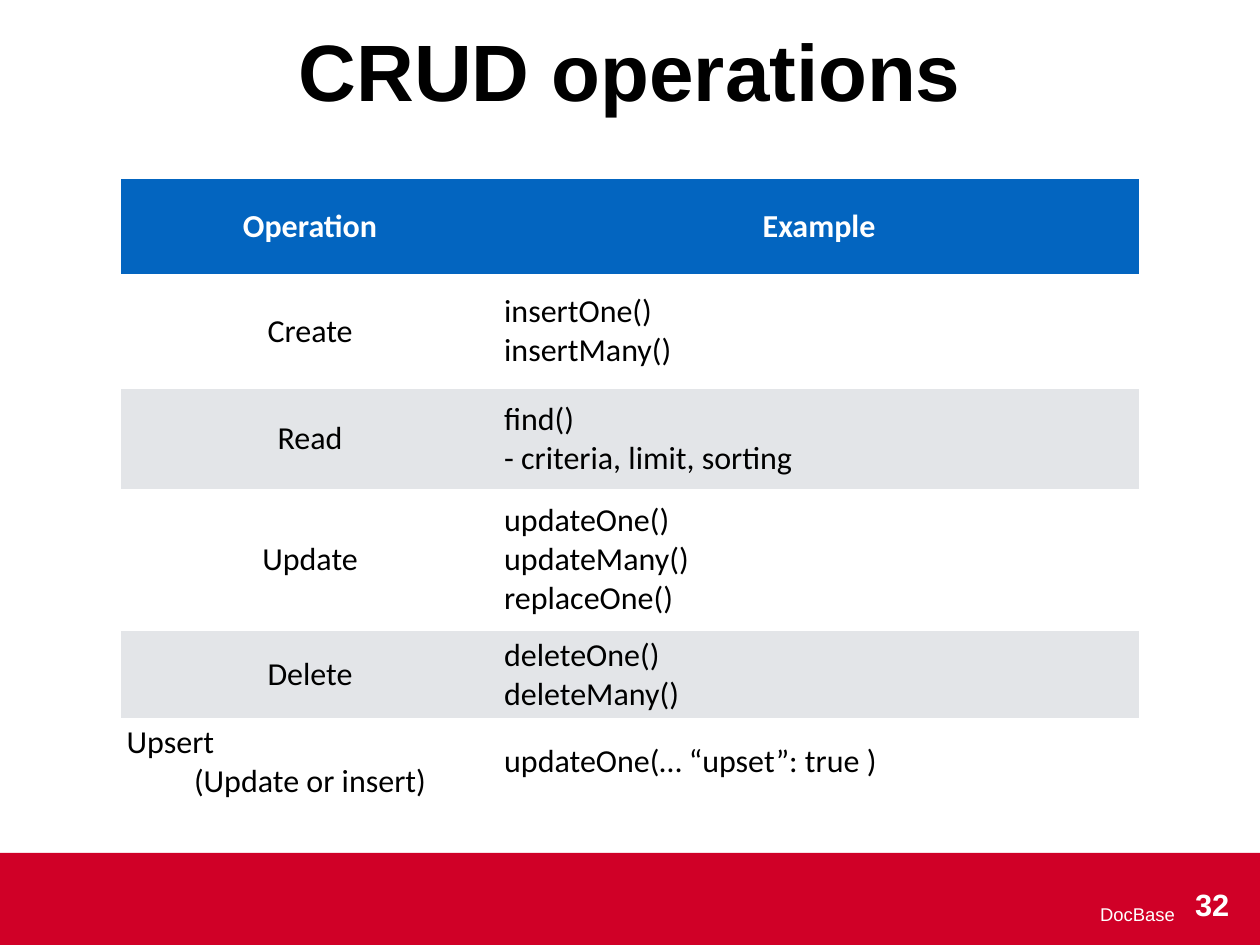
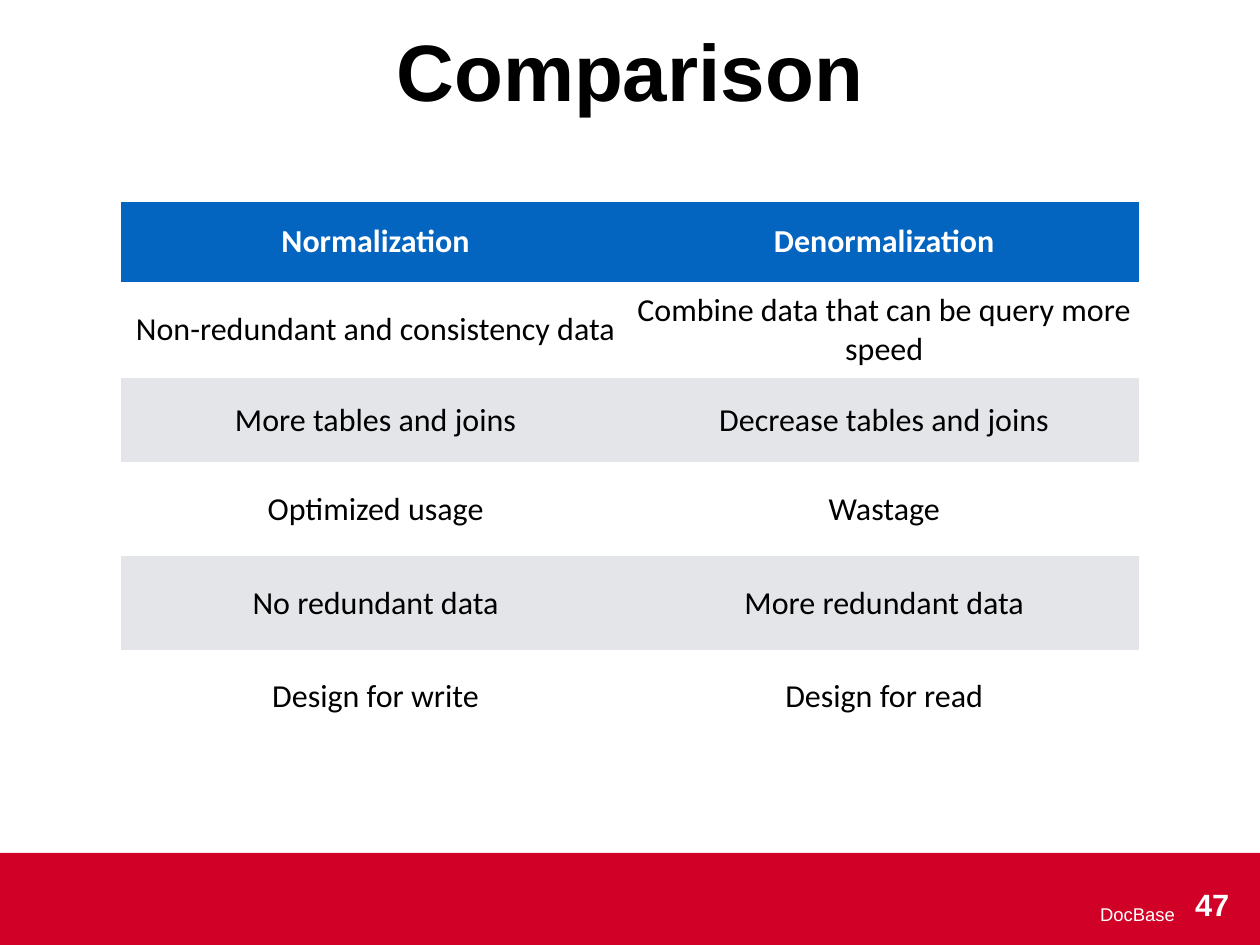
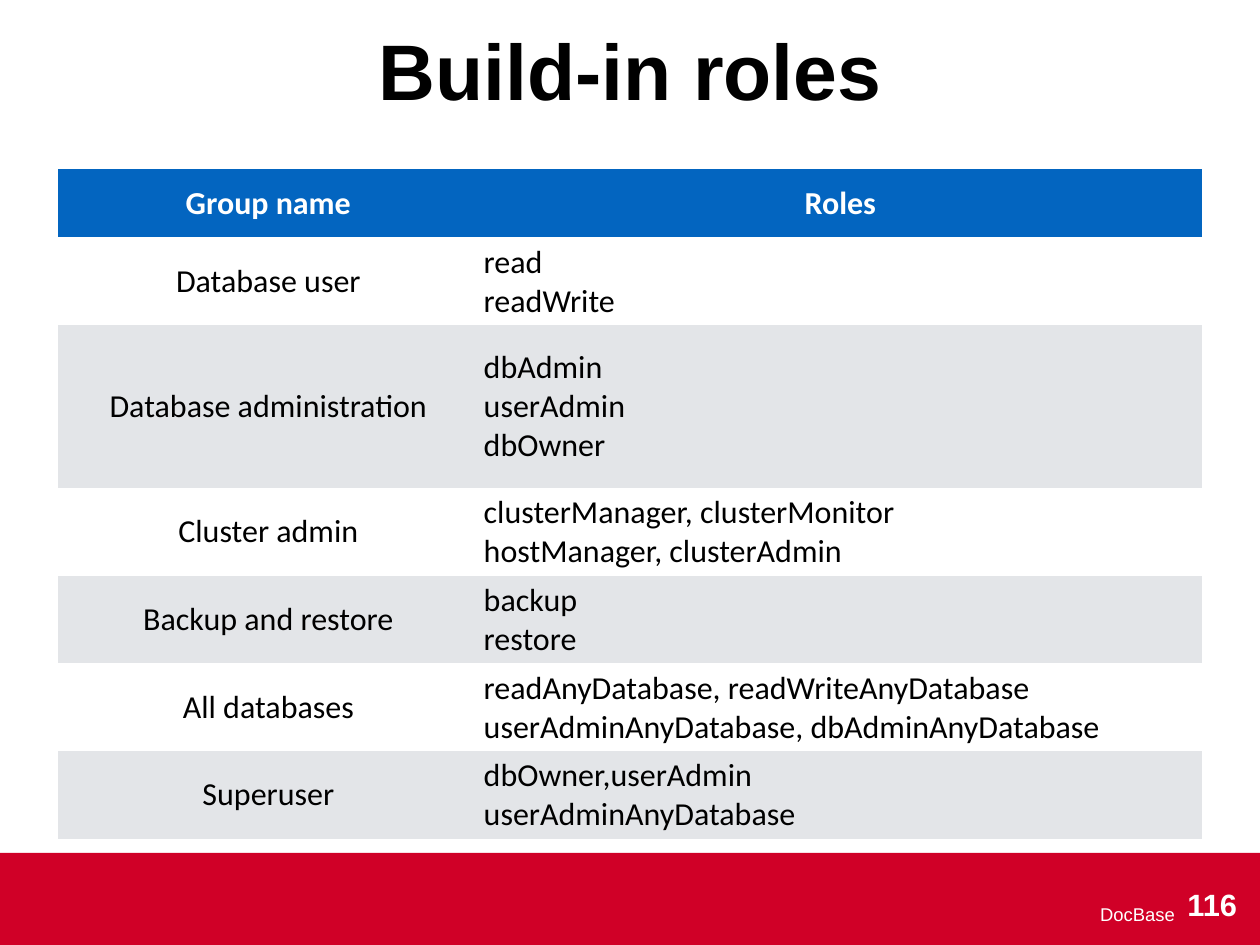
from pptx import Presentation
from pptx.dml.color import RGBColor
from pptx.enum.shapes import MSO_SHAPE as Shape
from pptx.enum.text import MSO_ANCHOR as Anchor, PP_ALIGN as Align
from pptx.oxml.ns import qn
from pptx.util import Inches, Pt

COLORS = {
    "band": "D00027",
    "header": "0365C0",
    "stripe": "E3E5E8",
    "white": "FFFFFF",
    "black": "000000",
}
WIDTH, HEIGHT = 14.22, 10.67
BAND_TOP = 9.63
INSET = 0.06
FOOTER_TEXT = "DocBase"
PLAIN_TABLE = "{2D5ABB26-0587-4C30-8999-92F81FD0307C}"

CRUD_ROWS = [
    ("Operation", "Example"),
    ("Create", "insertOne()\vinsertMany()"),
    ("Read", "find()\v- criteria, limit, sorting"),
    ("Update", "updateOne()\vupdateMany()\vreplaceOne()"),
    ("Delete", "deleteOne()\vdeleteMany()"),
    ("Upsert\n(Update or insert)", "updateOne(… “upset”: true )"),
]
COMPARISON_ROWS = [
    ("Normalization", "Denormalization"),
    ("Non-redundant and consistency data", "Combine data that can be query more speed"),
    ("More tables and joins", "Decrease tables and joins"),
    ("Optimized usage", "Wastage"),
    ("No redundant data", "More redundant data"),
    ("Design for write", "Design for read"),
]
ROLE_ROWS = [
    ("Group name", "Roles"),
    ("Database user", "read\vreadWrite"),
    ("Database administration", "dbAdmin\vuserAdmin\vdbOwner"),
    ("Cluster admin", "clusterManager, clusterMonitor\vhostManager, clusterAdmin"),
    ("Backup and restore", "backup\vrestore"),
    ("All databases", "readAnyDatabase, readWriteAnyDatabase\vuserAdminAnyDatabase, dbAdminAnyDatabase"),
    ("Superuser", "dbOwner,userAdmin\vuserAdminAnyDatabase"),
]


def rgb(name):
    return RGBColor.from_string(COLORS[name])


def set_insets(item):
    item.margin_left = item.margin_right = Inches(INSET)
    item.margin_top = item.margin_bottom = Inches(INSET)


def style_text(frame, size, font, color, bold, align):
    for para in frame.paragraphs:
        para.alignment = align
        for span in para.runs:
            span.font.size = Pt(size)
            span.font.name = font
            span.font.bold = bold
            span.font.color.rgb = rgb(color)


def add_label(page, box, text, size, color, bold, align, anchor=Anchor.MIDDLE, wrap=True):
    frame = page.shapes.add_textbox(*map(Inches, box)).text_frame
    set_insets(frame)
    frame.word_wrap = wrap
    frame.vertical_anchor = anchor
    frame.text = text
    style_text(frame, size, "Arial", color, bold, align)


def add_footer(page, number):
    band = page.shapes.add_shape(
        Shape.RECTANGLE, 0, Inches(BAND_TOP), Inches(WIDTH), Inches(HEIGHT - BAND_TOP)
    )
    band.shadow.inherit = False
    band.fill.solid()
    band.fill.fore_color.rgb = rgb("band")
    band.line.fill.background()
    add_label(page, (4.98, BAND_TOP + 0.35, 8.34, 0.69), FOOTER_TEXT, 15, "white", False, Align.RIGHT)
    width = 0.15 + 0.18 * len(number)
    box = (13.68 - width / 2, BAND_TOP + 0.31, width, 0.5)
    add_label(page, box, number, 25, "white", True, Align.CENTER, Anchor.TOP, False)


def add_grid(page, left, top, widths, heights, rows, body_aligns):
    holder = page.shapes.add_table(
        len(rows), len(widths),
        Inches(left), Inches(top), Inches(sum(widths)), Inches(sum(heights)),
    )
    for style in holder._element.iter(qn("a:tableStyleId")):
        style.text = PLAIN_TABLE
    table = holder.table
    table.horz_banding = False
    for column, width in zip(table.columns, widths):
        column.width = Inches(width)
    for index, (row, height, texts) in enumerate(zip(table.rows, heights, rows)):
        row.height = Inches(height)
        heading = index == 0
        fill = "header" if heading else "white" if index % 2 else "stripe"
        for cell, text, body_align in zip(row.cells, texts, body_aligns):
            set_insets(cell)
            cell.vertical_anchor = Anchor.MIDDLE
            cell.fill.solid()
            cell.fill.fore_color.rgb = rgb(fill)
            cell.text_frame.text = text
            style_text(
                cell.text_frame, 26, "Calibri", "white" if heading else "black",
                heading, Align.CENTER if heading else body_align,
            )
    return table


def add_table_page(deck, number, title, title_size, **grid):
    page = deck.slides.add_slide(deck.slide_layouts[6])
    add_footer(page, number)
    add_label(page, (0, 0.22, WIDTH, 1.12), title, title_size, "black", True, Align.CENTER)
    return add_grid(page, **grid)


def main():
    deck = Presentation()
    deck.slide_width, deck.slide_height = Inches(WIDTH), Inches(HEIGHT)
    name_and_list = (Align.CENTER, Align.LEFT)

    crud = add_table_page(
        deck, "32", "CRUD operations", 65, left=1.37, top=2.02, widths=(4.26, 7.23),
        heights=(1.07, 1.3, 1.13, 1.6, 0.92, 0.92), rows=CRUD_ROWS, body_aligns=name_and_list,
    )
    crud.cell(5, 0).text_frame.paragraphs[0].alignment = Align.LEFT

    add_table_page(
        deck, "47", "Comparison", 65, left=1.37, top=2.28, widths=(5.74, 5.74),
        heights=(0.9, 1.09, 0.95, 1.06, 1.06, 1.06), rows=COMPARISON_ROWS,
        body_aligns=(Align.CENTER, Align.CENTER),
    )
    add_table_page(
        deck, "116", "Build-in roles", 64, left=0.66, top=1.91, widths=(4.74, 8.17),
        heights=(0.77, 0.99, 1.84, 0.99, 0.99, 0.99, 0.99), rows=ROLE_ROWS, body_aligns=name_and_list,
    )
    deck.save("out.pptx")


if __name__ == "__main__":
    main()
